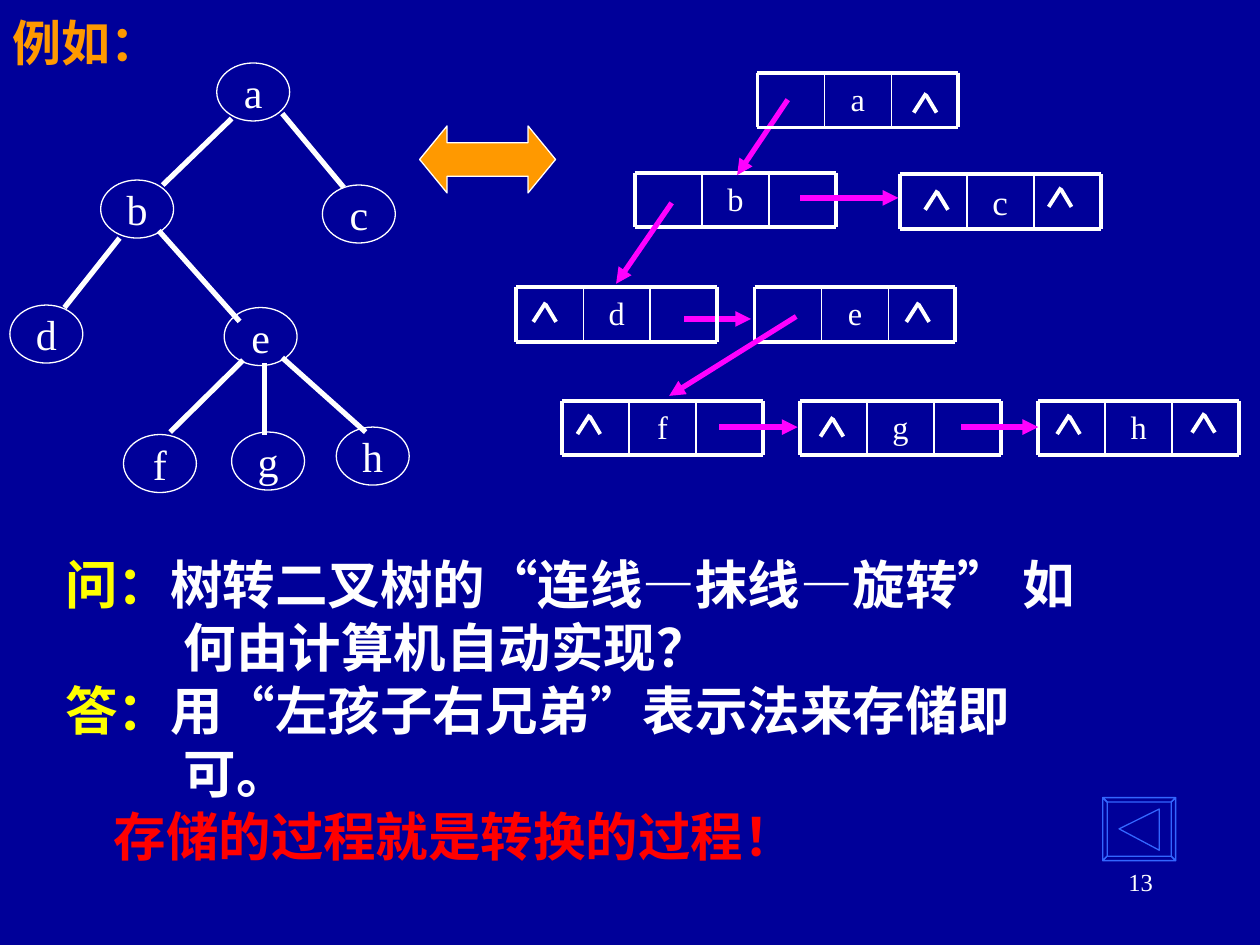
from lxml.etree import SubElement
from pptx import Presentation
from pptx.dml.color import RGBColor
from pptx.enum.shapes import MSO_CONNECTOR, MSO_SHAPE
from pptx.enum.text import MSO_ANCHOR, MSO_AUTO_SIZE, PP_ALIGN
from pptx.oxml.ns import qn
from pptx.util import Cm, Pt

COLORS = {"navy": "000099", "white": "FFFFFF", "orange": "FF9900",
          "yellow": "FFFF00", "red": "FF0000", "magenta": "FF00FF", "blue": "3366FF"}
COLORS = {name: RGBColor.from_string(value) for name, value in COLORS.items()}
SERIF, SANS = "Times New Roman", "Noto Sans CJK SC"

prs = Presentation()
prs.slide_width, prs.slide_height = Cm(25.4), Cm(19.05)
slide = prs.slides.add_slide(prs.slide_layouts[5])
slide.background.fill.solid()
slide.background.fill.fore_color.rgb = COLORS["navy"]
shapes = slide.shapes


def write(paragraph, text, size=24, color="white", font=SERIF, bold=False, align=PP_ALIGN.CENTER):
    paragraph.alignment = align
    run = paragraph.add_run()
    run.text = text
    run.font.size, run.font.bold, run.font.name = Pt(size), bold, font
    run.font.color.rgb = COLORS[color]
    SubElement(run.font._element, qn("a:ea")).set("typeface", font)


def draw_line(x1, y1, x2, y2, color="white", width=3.0, arrow=False):
    connector = shapes.add_connector(MSO_CONNECTOR.STRAIGHT, Cm(x1), Cm(y1), Cm(x2), Cm(y2))
    connector.line.color.rgb = COLORS[color]
    connector.line.width = Pt(width)
    if arrow:
        SubElement(connector.line._get_or_add_ln(), qn("a:tailEnd")).set("type", "triangle")
    SubElement(connector._element.spPr, qn("a:effectLst"))


# Title
title = shapes.title
title.left, title.top, title.width, title.height = Cm(0), Cm(0), Cm(3.61), Cm(1.7)
title.text_frame.auto_size = MSO_AUTO_SIZE.NONE
title.text_frame.vertical_anchor = MSO_ANCHOR.MIDDLE
write(title.text_frame.paragraphs[0], "例如：", size=28, color="orange", font=SANS,
      bold=True, align=PP_ALIGN.LEFT)

# Tree: nodes, then edges
tree_nodes = {"a": (4.37, 1.27), "b": (2.03, 3.63), "e": (4.52, 6.2), "c": (6.5, 3.73),
              "d": (0.2, 6.15), "f": (2.49, 8.76), "h": (6.78, 8.61), "g": (4.67, 8.71)}
for letter, (left, top) in tree_nodes.items():
    node = shapes.add_shape(MSO_SHAPE.OVAL, Cm(left), Cm(top), Cm(1.47), Cm(1.17))
    node.shadow.inherit = False
    node.fill.background()
    node.line.color.rgb = COLORS["white"]
    node.line.width = Pt(0.75)
    node.text_frame.word_wrap = False
    node.text_frame.vertical_anchor = MSO_ANCHOR.MIDDLE
    write(node.text_frame.paragraphs[0], letter)

tree_edges = [(4.67, 2.39, 3.28, 3.73), (2.41, 4.8, 1.3, 6.2), (5.69, 2.29, 6.93, 3.78),
              (3.2, 4.65, 4.83, 6.48), (4.9, 7.26, 3.43, 8.71), (5.69, 7.21, 7.37, 8.71),
              (5.33, 7.32, 5.33, 8.76)]
for edge in tree_edges:
    draw_line(*edge)

# Linked records: letter, left, top, incoming pointer, tips of the null marks
CELL, HEIGHT = 1.35, 1.1
records = [
    ("b", 12.8, 3.48, (15.88, 2.01, 14.86, 3.53), []),
    ("a", 15.27, 1.47, None, [(18.67, 1.88)]),
    ("c", 18.14, 3.51, (16.13, 3.99, 18.11, 3.99), [(18.9, 3.84), (21.39, 3.78)]),
    ("e", 15.21, 5.79, (13.79, 6.43, 15.14, 6.43), [(18.52, 6.1)]),
    ("d", 10.41, 5.79, (13.54, 4.09, 12.42, 5.72), [(11, 6.1)]),
    ("f", 11.33, 8.08, (16.05, 6.38, 13.49, 7.98), [(11.89, 8.36)]),
    ("g", 16.13, 8.08, (14.5, 8.61, 16.08, 8.61), [(16.79, 8.41)]),
    ("h", 20.93, 8.08, (19.38, 8.61, 20.93, 8.61), [(21.56, 8.36), (24.28, 8.33)]),
]
for letter, left, top, pointer, null_tips in records:
    data = shapes.add_textbox(Cm(left + CELL), Cm(top), Cm(CELL), Cm(HEIGHT))
    data.text_frame.word_wrap = True
    write(data.text_frame.paragraphs[0], letter, size=20 if letter == "c" else 18.5)
    for y in (top, top + HEIGHT):
        draw_line(left, y, left + 3 * CELL, y, width=2.25)
    for column, width in enumerate((2.25, 1, 1, 2.25)):
        x = left + column * CELL
        draw_line(x, top, x, top + HEIGHT, width=width)
    if pointer:
        draw_line(*pointer, color="magenta", arrow=True)
    for x, y in null_tips:
        draw_line(x, y, x - 0.25, y + 0.39, width=2.25)
        draw_line(x, y + 0.04, x + 0.21, y + 0.39, width=2.25)

# Question and answer
dialogue = shapes.add_textbox(Cm(1.07), Cm(11), Cm(21.59), Cm(5.33)).text_frame
dialogue.word_wrap = True
statements = [
    [("问：", "yellow"), ("树转二叉树的“连线—抹线—旋转” 如何由计算机自动实现？", "white")],
    [("答：", "yellow"), ("用“左孩子右兄弟”表示法来存储即可。", "white")],
    [("存储的过程就是转换的过程！", "red")],
]
for index, parts in enumerate(statements):
    statement = dialogue.paragraphs[0] if index == 0 else dialogue.add_paragraph()
    statement.line_spacing = Pt(36)
    properties = statement._p.get_or_add_pPr()
    hanging = len(parts) == 2
    properties.set("marL", str(Cm(2.39 if hanging else 0.97)))
    properties.set("indent", str(Cm(-2.39 if hanging else 0)))
    properties.set("hangingPunct", "0")
    for text, color in parts:
        write(statement, text, size=30, color=color, font=SANS, bold=True, align=PP_ALIGN.LEFT)

# Back button: outer frame, four bevel sides, triangle
x1, y1, x2, y2, bevel = 22.23, 16.08, 23.7, 17.35, 0.09
outer = [(x1, y1), (x2, y1), (x2, y2), (x1, y2)]
inner = [(x1 + bevel, y1 + bevel), (x2 - bevel, y1 + bevel),
         (x2 - bevel, y2 - bevel), (x1 + bevel, y2 - bevel)]
sides = [[outer[i], outer[i - 1], inner[i - 1], inner[i]] for i in range(4)]
triangle = [(23.37, 16.31), (22.56, 16.71), (23.37, 17.14)]
builder = shapes.build_freeform(Cm(x1), Cm(y1))
for contour in [outer, *sides, triangle]:
    points = [(Cm(x), Cm(y)) for x, y in contour]
    if contour is not outer:
        builder.move_to(*points[0])
    builder.add_line_segments(points[1:], close=True)
button = builder.convert_to_shape()
button.shadow.inherit = False
button.fill.background()
button.line.color.rgb = COLORS["blue"]
button.line.width = Pt(0.75)

# Equivalence arrow
equivalence = shapes.add_shape(MSO_SHAPE.LEFT_RIGHT_ARROW, Cm(8.46), Cm(2.54), Cm(2.74), Cm(1.35))
equivalence.adjustments[0], equivalence.adjustments[1] = 0.5, 0.41
equivalence.shadow.inherit = False
equivalence.fill.solid()
equivalence.fill.fore_color.rgb = COLORS["orange"]
equivalence.line.color.rgb = COLORS["white"]
equivalence.line.width = Pt(0.75)

# Page number
page_number = shapes.add_textbox(Cm(18.21), Cm(17.35), Cm(5.28), Cm(1.27)).text_frame
page_number.word_wrap = True
write(page_number.paragraphs[0], "13", size=14, align=PP_ALIGN.RIGHT)

prs.save("out.pptx")
